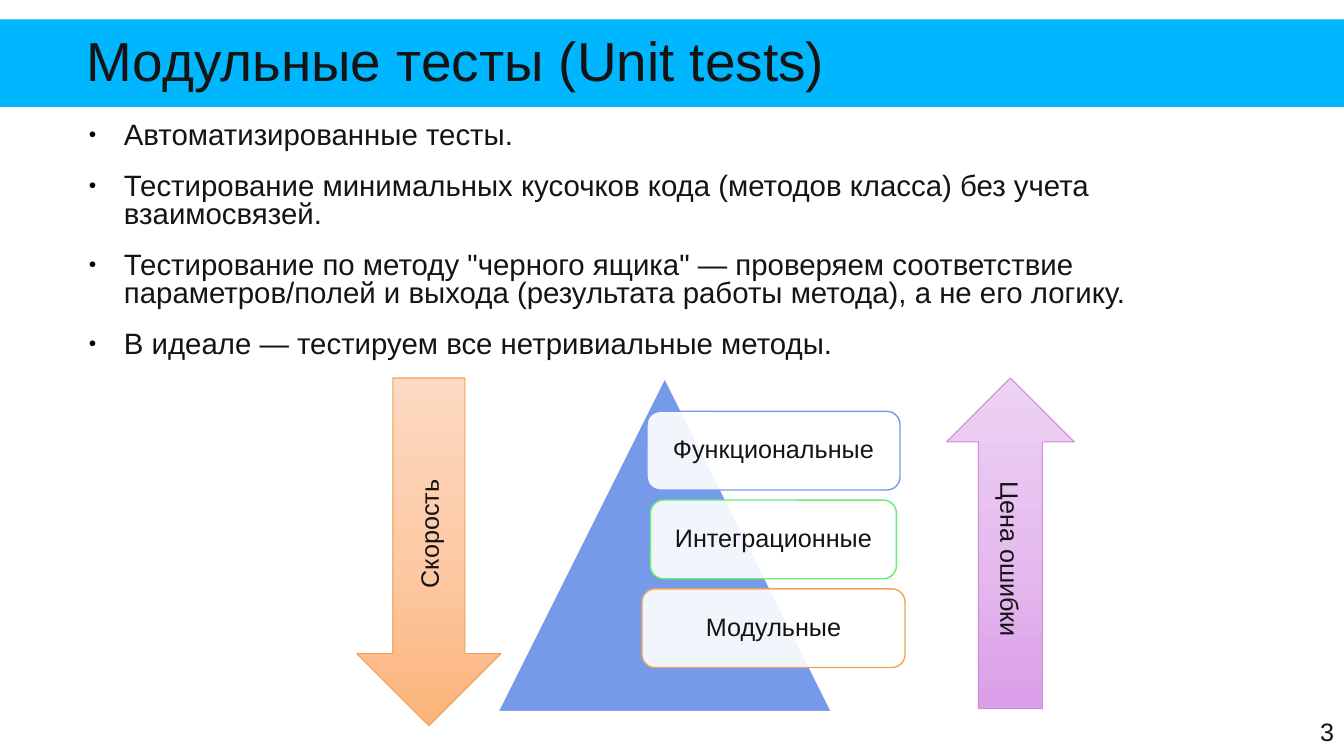
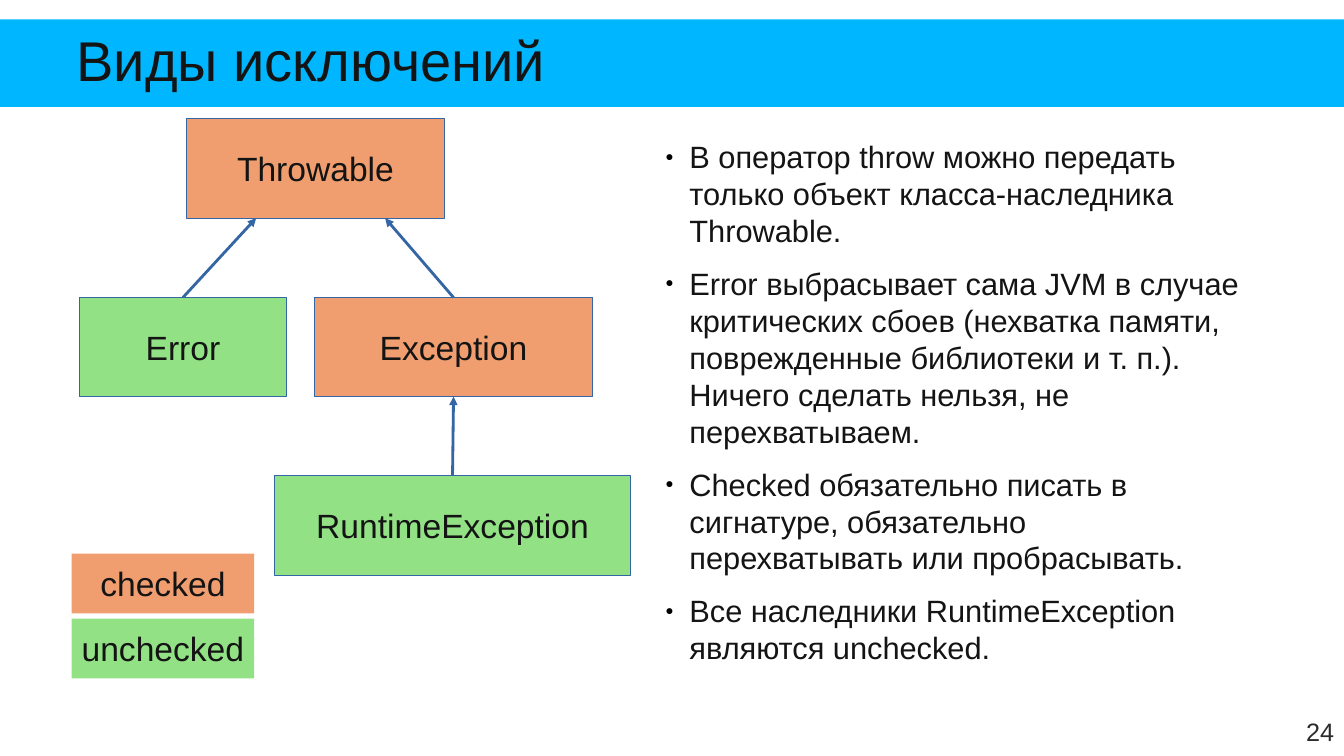
from lxml.etree import SubElement
from pptx import Presentation
from pptx.dml.color import RGBColor
from pptx.enum.shapes import MSO_CONNECTOR, MSO_SHAPE as SHAPE
from pptx.enum.text import MSO_ANCHOR as ANCHOR, MSO_AUTO_SIZE as AUTO, PP_ALIGN as ALIGN
from pptx.oxml.ns import qn
from pptx.util import Pt

WHITE = RGBColor(0xFF, 0xFF, 0xFF)
INK = RGBColor(0x14, 0x14, 0x14)
GREY = RGBColor(0x2C, 0x2C, 0x2C)
BLACK = RGBColor(0, 0, 0)
CYAN = RGBColor(0x00, 0xB7, 0xFF)
BLUE = RGBColor(0x76, 0x9A, 0xEA)
LIME = RGBColor(0x67, 0xEC, 0x74)
ORANGE = RGBColor(0xEE, 0xA3, 0x58)
PURPLE = RGBColor(0xCF, 0x8C, 0xDC)
NAVY = RGBColor(0x34, 0x65, 0xA4)
CHECKED = RGBColor(0xF0, 0x9E, 0x6F)
UNCHECKED = RGBColor(0x92, 0xE2, 0x85)
PEACH_FADE = [RGBColor(0xFC, 0xD9, 0xC1), RGBColor(0xFD, 0xCA, 0xA6), RGBColor(0xFB, 0xB4, 0x7A)]
LILAC_FADE = [RGBColor(0xED, 0xD2, 0xF3), RGBColor(0xE6, 0xBD, 0xEF), RGBColor(0xDB, 0x9E, 0xE8)]

FONT = "Arial"
WIDTH, HEIGHT = 960, 540


def place(sp, x, y, w, h):
    sp.left, sp.top, sp.width, sp.height = Pt(x), Pt(y), Pt(w), Pt(h)


def add_xml(parent, tag, **attrs):
    return SubElement(parent, qn(tag), {k: str(v) for k, v in attrs.items()})


class Deck:
    """Holds the shared style and the slide being filled."""

    def __init__(self):
        self.prs = Presentation()
        self.prs.slide_width, self.prs.slide_height = Pt(WIDTH), Pt(HEIGHT)
        self.layout = self.prs.slide_layouts[1]
        self.slide = None

    def new_slide(self, title, number, size=40, inset=0, number_color=INK):
        first = self.slide is None
        self.slide = self.prs.slides.add_slide(self.layout)
        if first:
            self.move_band_to_layout()
        sp = self.slide.shapes.title
        place(sp, 54.7, 22.3, 850.3, 47.5)
        tf = self.frame(sp, (inset, inset / 2), ANCHOR.MIDDLE)
        self.add_text(tf.paragraphs[0], title, size, align=ALIGN.LEFT, spacing=0.85)
        sp = self.slide.shapes.add_textbox(Pt(894.2), Pt(508.3), Pt(65.8), Pt(28.8))
        tf = self.frame(sp, (7.2, 3.6), ANCHOR.MIDDLE)
        self.add_text(tf.paragraphs[0], str(number), 18, number_color, ALIGN.RIGHT)

    def move_band_to_layout(self):
        """Draw the title band once, behind the placeholders of the layout."""
        band = self.shape(SHAPE.RECTANGLE, 0, 13.9, WIDTH, 62.6, CYAN)
        self.layout.shapes.element.insert(2, band.element)

    def frame(self, sp, insets, anchor, wrap=True):
        tf = sp.text_frame
        tf.auto_size, tf.word_wrap, tf.vertical_anchor = AUTO.NONE, wrap, anchor
        tf.margin_left = tf.margin_right = Pt(insets[0])
        tf.margin_top = tf.margin_bottom = Pt(insets[1])
        return tf

    def add_text(self, p, text, size, color=INK, align=ALIGN.CENTER, spacing=1.0):
        p.alignment, p.line_spacing = align, spacing
        r = p.add_run()
        r.text = text
        r.font.name, r.font.size = FONT, Pt(size)
        r.font.color.rgb = color

    def bullets(self, items, box, size, indent, before, after=0, spacing=1.0, insets=(0, 0)):
        sp = self.slide.placeholders[1]
        place(sp, *box)
        tf = self.frame(sp, insets, ANCHOR.TOP)
        for i, text in enumerate(items):
            p = tf.add_paragraph() if i else tf.paragraphs[0]
            self.add_text(p, text, size, align=ALIGN.LEFT, spacing=spacing)
            p.space_before, p.space_after = Pt(before), Pt(after)
            pPr = p._p.get_or_add_pPr()
            pPr.set("marL", str(Pt(indent)))
            pPr.set("indent", str(Pt(-min(indent, 25.2))))
            add_xml(add_xml(pPr, "a:buClr"), "a:srgbClr", val=BLACK)
            add_xml(pPr, "a:buSzPct", val=45000)
            add_xml(pPr, "a:buFont", typeface=FONT)
            add_xml(pPr, "a:buChar", char="●")

    def shape(self, kind, x, y, w, h, fill, line=None, line_width=0, opacity=100):
        """Add a preset shape; a list of colours as fill gives a vertical gradient."""
        sp = self.slide.shapes.add_shape(kind, Pt(x), Pt(y), Pt(w), Pt(h))
        sp.shadow.inherit = False
        if isinstance(fill, list):
            self.fade(sp, fill)
        else:
            sp.fill.solid()
            sp.fill.fore_color.rgb = fill
        if opacity < 100:
            color = sp.element.spPr.find(qn("a:solidFill")).find(qn("a:srgbClr"))
            add_xml(color, "a:alpha", val=opacity * 1000)
        if line is None:
            sp.line.fill.background()
        else:
            sp.line.color.rgb = line
            sp.line.width = Pt(line_width)
        return sp

    def fade(self, sp, colors):
        sp.fill.gradient()
        sp.fill.gradient_angle = 270
        stops = sp.element.spPr.find(qn("a:gradFill")).find(qn("a:gsLst"))
        for stop in list(stops):
            stops.remove(stop)
        for i, color in enumerate(colors):
            gs = add_xml(stops, "a:gs", pos=100000 * i // (len(colors) - 1))
            add_xml(gs, "a:srgbClr", val=color)

    def label(self, sp, text, size, vert=None, spacing=1.0):
        tf = self.frame(sp, (7.2, 3.6), ANCHOR.MIDDLE, wrap=vert is not None)
        if vert:
            sp.element.txBody.bodyPr.set("vert", vert)
        self.add_text(tf.paragraphs[0], text, size, spacing=spacing)

    def class_box(self, text, x, y, w, h, fill, line=None):
        sp = self.shape(SHAPE.RECTANGLE, x, y, w, h, fill, line)
        self.label(sp, text, 24)
        return sp

    def inherits(self, child, parent, at):
        """Arrow from the child's top centre to a fraction of the parent's bottom edge."""
        cx = self.slide.shapes.add_connector(
            MSO_CONNECTOR.STRAIGHT,
            child.left + child.width // 2, child.top,
            parent.left + int(parent.width * at), parent.top + parent.height)
        cx.line.color.rgb = NAVY
        cx.line.width = Pt(0)
        add_xml(cx.element.spPr.find(qn("a:ln")), "a:tailEnd", type="triangle")
        add_xml(cx.element.spPr, "a:effectLst")


def unit_tests(deck):
    deck.new_slide("Модульные тесты (Unit tests)", 3, size=39.2, inset=7.2)
    deck.bullets([
        "Автоматизированные тесты.",
        "Тестирование минимальных кусочков кода (методов класса) без учета взаимосвязей.",
        "Тестирование по методу \"черного ящика\" — проверяем соответствие "
        "параметров/полей и выхода (результата работы метода), а не его логику.",
        "В идеале — тестируем все нетривиальные методы.",
    ], (54.7, 87.8, 849.6, 171.4), 21, 33.8, before=14.2, after=2, spacing=0.8)

    deck.shape(SHAPE.ISOSCELES_TRIANGLE, 355.7, 270, 238.3, 238.3, BLUE, WHITE, 1)
    center, top, step = 552.5, 293.8, 63.4
    levels = [("Функциональные", 180.7, BLUE), ("Интеграционные", 175.7, LIME),
              ("Модульные", 187.9, ORANGE)]
    for i, (text, w, line) in enumerate(levels):
        sp = deck.shape(SHAPE.ROUNDED_RECTANGLE, center - w / 2, top + i * step, w, 56.2,
                        WHITE, line, 1, opacity=90)
        deck.label(sp, text, 18, spacing=0.9)

    speed = deck.shape(SHAPE.DOWN_ARROW, 254.9, 270, 103, 248.4, PEACH_FADE, ORANGE, 0.75)
    deck.label(speed, "Скорость", 18, "vert270")
    cost = deck.shape(SHAPE.UP_ARROW, 676.1, 270, 91.4, 236.2, LILAC_FADE, PURPLE, 0.75)
    deck.label(cost, "Цена ошибки", 18, "vert")


def exception_kinds(deck):
    deck.new_slide("Виды исключений", 24, number_color=GREY)
    top, step, h = 85, 127.5, 70.8
    tree = [("Throwable", 133.2, 0, 184.3, CHECKED), ("Error", 56.9, 1, 147.6, UNCHECKED),
            ("Exception", 224.6, 1, 198.7, CHECKED),
            ("RuntimeException", 195.8, 2, 254.9, UNCHECKED)]
    boxes = {text: deck.class_box(text, x, top + row * step, w, h, fill, NAVY)
             for text, x, row, w, fill in tree}
    for child, parent, at in [("Error", "Throwable", 0.27), ("Exception", "Throwable", 0.77),
                              ("RuntimeException", "Exception", 0.5)]:
        deck.inherits(boxes[child], boxes[parent], at)

    for i, (text, fill) in enumerate([("checked", CHECKED), ("unchecked", UNCHECKED)]):
        deck.class_box(text, 51.1, 395.5 + i * 46.4, 130.5, 42.7, fill)

    deck.bullets([
        "В оператор throw можно передать только объект класса-наследника Throwable.",
        "Error выбрасывает сама JVM в случае критических сбоев (нехватка памяти, "
        "поврежденные библиотеки и т. п.). Ничего сделать нельзя, не перехватываем.",
        "Checked обязательно писать в сигнатуре, обязательно перехватывать или пробрасывать.",
        "Все наследники RuntimeException являются unchecked.",
    ], (468, 95, 425.5, 360.7), 22, 17.3, before=11.3, insets=(7.2, 3.6))


def main():
    deck = Deck()
    unit_tests(deck)
    exception_kinds(deck)
    deck.prs.save("out.pptx")


if __name__ == "__main__":
    main()
